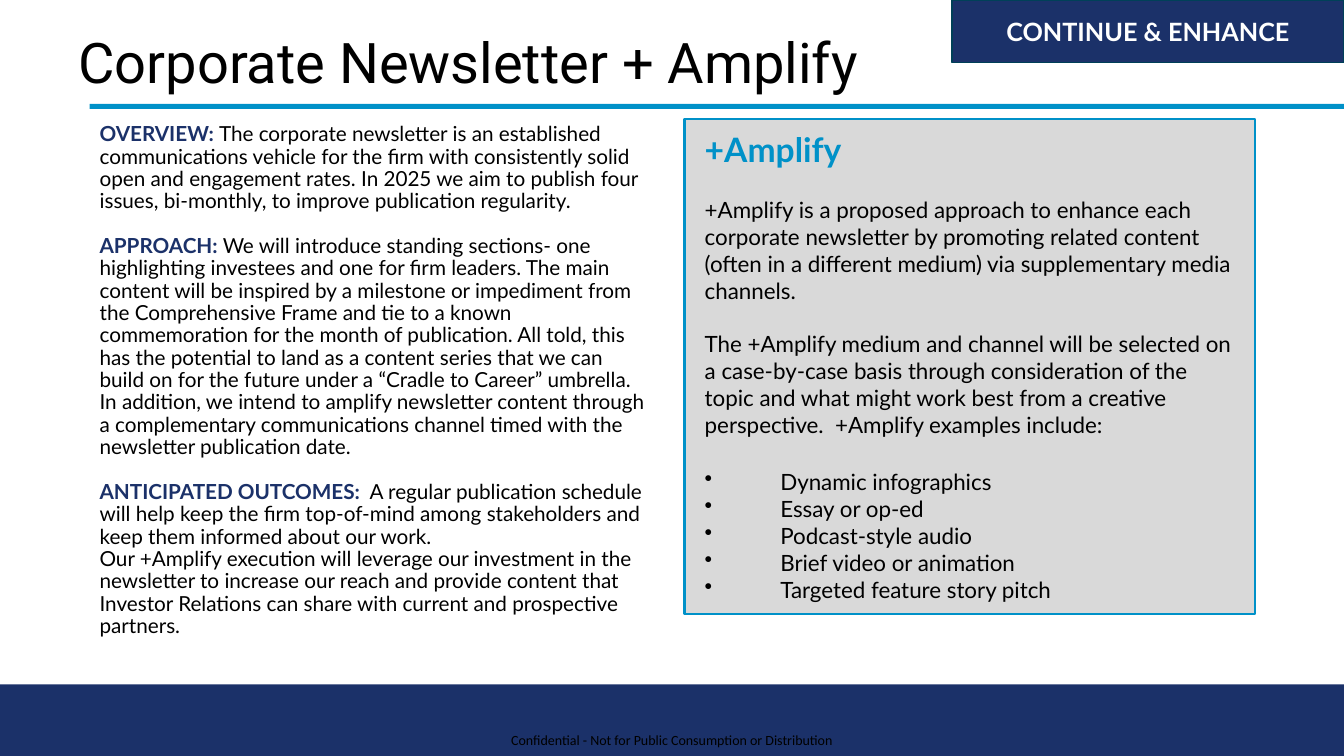
from pptx import Presentation, util as u
from pptx.dml.color import RGBColor
from pptx.enum import shapes, text
from pptx.oxml.ns import qn
from lxml import etree

PX = 9144  # EMU per px, 100 px to the inch
NAVY = RGBColor(0x1B, 0x31, 0x69)
BLUE = RGBColor(0x00, 0x91, 0xC8)
TEAL = RGBColor(0x00, 0x40, 0x58)
GRAY = RGBColor(0xD9, 0xD9, 0xD9)
BLACK = RGBColor(0, 0, 0)
WHITE = RGBColor(255, 255, 255)

deck = Presentation()
deck.slide_width, deck.slide_height = 1333 * PX, 750 * PX
slide = deck.slides.add_slide(deck.slide_layouts[6])


def add_box(spot, fill=None, edge=None, width=1, inset=(10, 5)):
    """Add a rectangle, or a text box if it has no fill; return its text frame."""
    spot = [n * PX for n in spot]
    if fill is None:
        box = slide.shapes.add_textbox(*spot)
    else:
        box = slide.shapes.add_shape(shapes.MSO_SHAPE.RECTANGLE, *spot)
        box.shadow.inherit = False
        box.fill.solid()
        box.fill.fore_color.rgb = fill
        if edge is None:
            box.line.fill.background()
        else:
            box.line.color.rgb = edge
            box.line.width = u.Pt(width)
    frame = box.text_frame
    frame.word_wrap = True
    frame.margin_left = frame.margin_right = inset[0] * PX
    frame.margin_top = frame.margin_bottom = inset[1] * PX
    return frame


def add_para(frame, words, face, size, color=BLACK, bold=False, gap=0, lead="", bullet=False):
    """Write a paragraph, with an optional bold navy lead-in."""
    para = frame.paragraphs[0]
    if para.runs:
        para = frame.add_paragraph()
    para.alignment = text.PP_ALIGN.LEFT
    if gap:
        para.space_before = u.Pt(gap)
    if bullet:
        props = para._p.get_or_add_pPr()
        props.set("marL", str(75 * PX))
        props.set("indent", str(-75 * PX))
        etree.SubElement(props, qn("a:buChar")).set("char", "•")
    para.font.name, para.font.size = face, u.Pt(size)
    if lead:
        run = para.add_run()
        run.text = lead
        run.font.bold, run.font.color.rgb = True, NAVY
        run = para.add_run()
        run.text = words
        run.font.bold, run.font.color.rgb = bold, color
    else:
        para.add_run().text = words
        para.font.bold, para.font.color.rgb = bold, color
    return para


# Footer band and rule
add_box((0, 679, 1333, 73), NAVY)
foot = add_box((507, 726, 323, 17), inset=(0, 0))
foot.word_wrap = False
add_para(foot, "Confidential - Not for Public Consumption or Distribution", "Calibri", 10)
add_box((89, 103, 1244, 5), BLUE)

# Title
title = add_box((68, 35, 1150, 59))
title.vertical_anchor = text.MSO_ANCHOR.MIDDLE
add_para(title, "Corporate Newsletter + Amplify", "Roboto", 40).line_spacing = 0.9

# Left column
PLAN = [
    ("OVERVIEW: ", 0, "The corporate newsletter is an established communications vehicle for the firm "
     "with consistently solid open and engagement rates. In 2025 we aim to publish four issues, "
     "bi-monthly, to improve publication regularity."),
    ("APPROACH: ", 16, "We will introduce standing sections- one highlighting investees and one for "
     "firm leaders. The main content will be inspired by a milestone or impediment from the "
     "Comprehensive Frame and tie to a known commemoration for the month of publication. All told, "
     "this has the potential to land as a content series that we can build on for the future under "
     "a “Cradle to Career” umbrella. In addition, we intend to amplify newsletter content through "
     "a complementary communications channel timed with the newsletter publication date."),
    ("ANTICIPATED OUTCOMES: ", 16, " A regular publication schedule will help keep the firm top-of-mind "
     "among stakeholders and keep them informed about our work."),
    ("", 0, "Our +Amplify execution will leverage our investment in the newsletter to increase our "
     "reach and provide content that Investor Relations can share with current and prospective "
     "partners."),
]
plan = add_box((89, 118, 566, 536))
for lead, gap, words in PLAN:
    add_para(plan, words, "Lato", 14.8, gap=gap, lead=lead).line_spacing = 0.9

# Corner tag
tag = add_box((944, 0, 389, 62), NAVY, TEAL)
tag.vertical_anchor = text.MSO_ANCHOR.MIDDLE
add_para(tag, "CONTINUE & ENHANCE", "Lato", 18, WHITE, True).alignment = text.PP_ALIGN.CENTER

# Amplify panel
panel = add_box((679, 118, 566, 491), GRAY, BLUE, 1.75, (20, 10))
panel.vertical_anchor = text.MSO_ANCHOR.TOP
add_para(panel, "+Amplify", "Lato", 24, BLUE, True)
for words in (
    "+Amplify is a proposed approach to enhance each corporate newsletter by promoting related "
    "content (often in a different medium) via supplementary media channels.",
    "The +Amplify medium and channel will be selected on a case-by-case basis through consideration "
    "of the topic and what might work best from a creative perspective.  +Amplify examples include:",
):
    add_para(panel, words, "Lato", 16, gap=19.2)
IDEAS = ["Dynamic infographics", "Essay or op-ed", "Podcast-style audio",
         "Brief video or animation", "Targeted feature story pitch"]
for i, idea in enumerate(IDEAS):
    add_para(panel, idea, "Lato", 16, gap=0 if i else 21.6, bullet=True)

deck.save("out.pptx")
